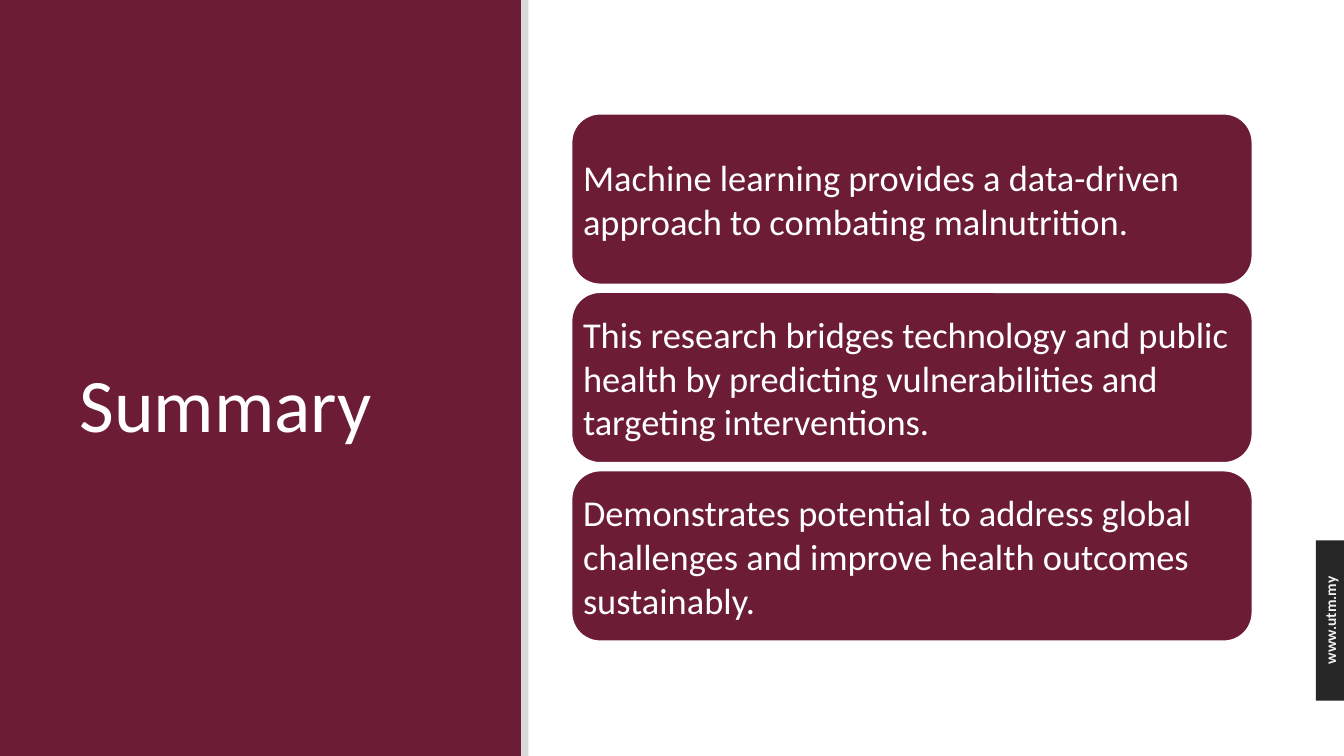
import pptx
import pptx.util
import pptx.dml.color
import pptx.enum.shapes
import pptx.enum.text

Inches = pptx.util.Inches
RGBColor = pptx.dml.color.RGBColor
Shape = pptx.enum.shapes.MSO_SHAPE
Anchor = pptx.enum.text.MSO_ANCHOR
Align = pptx.enum.text.PP_ALIGN

MAROON = RGBColor(0x6C, 0x1D, 0x35)
GREY = RGBColor(0xD9, 0xD9, 0xD9)
CHARCOAL = RGBColor(0x26, 0x26, 0x26)
PALE = RGBColor(0xF2, 0xF2, 0xF2)
WHITE = RGBColor(0xFF, 0xFF, 0xFF)

POINTS = [
    "Machine learning provides a data-driven approach to combating malnutrition.",
    "This research bridges technology and public health by predicting "
    "vulnerabilities and targeting interventions.",
    "Demonstrates potential to address global challenges and improve health "
    "outcomes sustainably.",
]
CARD_TOP = 1.13
CARD_STEP = 1.77


def add_block(page, kind, left, top, width, height, fill):
    block = page.shapes.add_shape(
        kind, Inches(left), Inches(top), Inches(width), Inches(height))
    block.shadow.inherit = False
    block.fill.solid()
    block.fill.fore_color.rgb = fill
    block.line.fill.background()
    return block


def write_text(box, text, size, color, anchor, align=Align.LEFT, bold=False):
    frame = box.text_frame
    frame.word_wrap = True
    frame.vertical_anchor = anchor
    para = frame.paragraphs[0]
    para.alignment = align
    span = para.add_run()
    span.text = text
    span.font.name = "Calibri"
    span.font.size = pptx.util.Pt(size)
    span.font.bold = bold
    span.font.color.rgb = color
    return para


def add_card(page, top, text):
    card = add_block(page, Shape.ROUNDED_RECTANGLE, 5.67, top, 6.75, 1.69, MAROON)
    card.line.color.rgb = WHITE
    card.line.width = pptx.util.Pt(1)
    frame = card.text_frame
    frame.margin_left = frame.margin_right = Inches(0.03)
    frame.margin_top = frame.margin_bottom = Inches(0.03)
    write_text(card, text, 26, WHITE, Anchor.MIDDLE)


def add_title(page, text):
    title = page.shapes.add_textbox(
        Inches(0.69), Inches(2.75), Inches(4.13), Inches(1.75))
    para = write_text(title, text, 54, WHITE, Anchor.BOTTOM)
    para.line_spacing = 0.9


def add_web_tab(page, address):
    add_block(page, Shape.RECTANGLE, 13.05, 5.36, 0.29, 1.59, CHARCOAL)
    label = page.shapes.add_textbox(
        Inches(12.44), Inches(6.01), Inches(1.51), Inches(0.29))
    label.rotation = 270
    write_text(label, address, 11, PALE, Anchor.TOP, Align.CENTER, True)


def main():
    deck = pptx.Presentation()
    deck.slide_width = Inches(13.33)
    deck.slide_height = Inches(7.5)
    page = deck.slides.add_slide(deck.slide_layouts[6])
    add_block(page, Shape.RECTANGLE, -0.04, 0, 5.21, 7.5, MAROON)
    add_block(page, Shape.RECTANGLE, 5.17, 0, 0.07, 7.5, GREY)
    add_web_tab(page, "www.utm.my")
    add_title(page, "Summary")
    for index, point in enumerate(POINTS):
        add_card(page, CARD_TOP + index * CARD_STEP, point)
    deck.save("out.pptx")


if __name__ == "__main__":
    main()
